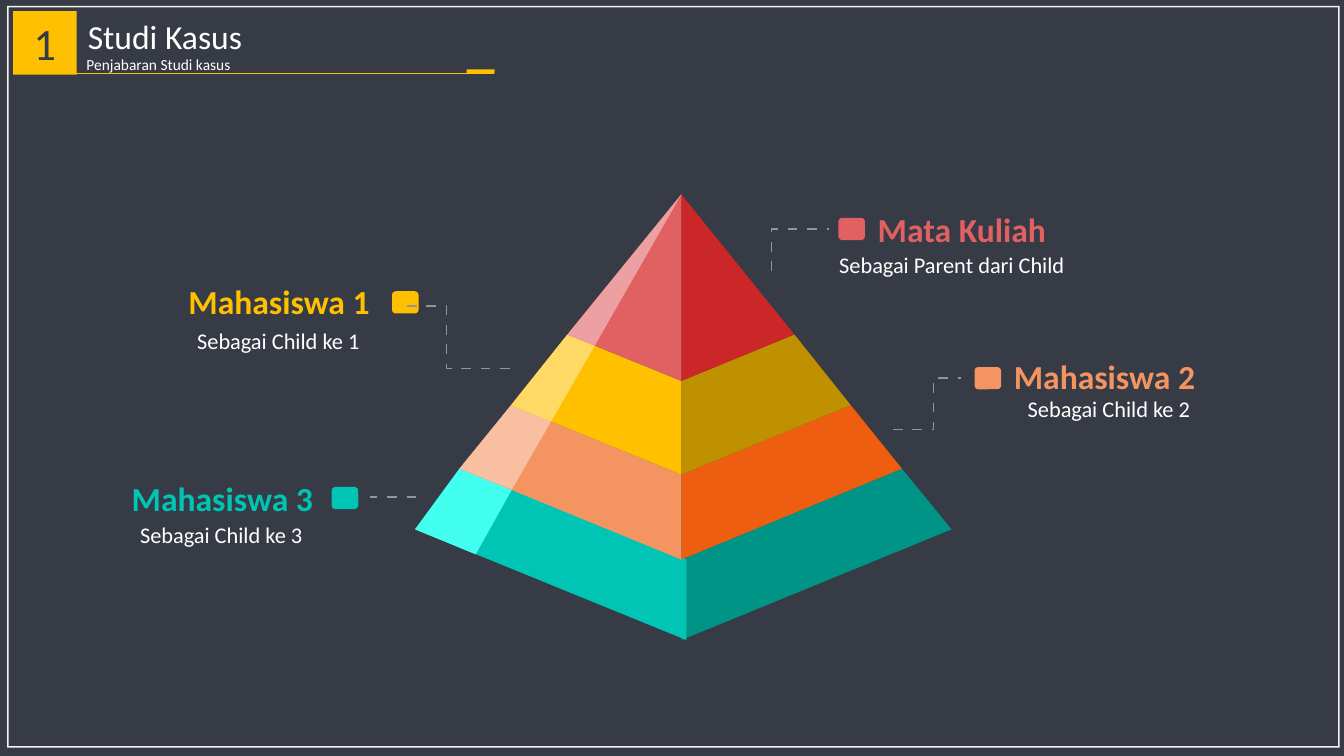
from lxml import etree
from pptx import Presentation
from pptx.dml.color import RGBColor
from pptx.enum.shapes import MSO_CONNECTOR as Link, MSO_SHAPE as Preset
from pptx.enum.text import MSO_ANCHOR as Anchor, PP_ALIGN as Align
from pptx.oxml.ns import qn
from pptx.util import Cm, Pt

FONT = "Calibri"
COLOURS = {
    "ground": "363B45", "frame": "F3F3F5", "white": "FFFFFF", "dash": "939598",
    "red": "E16162", "red dark": "CB2728", "red light": "EDA0A1",
    "yellow": "FFC000", "yellow dark": "BF9000", "yellow light": "FFD966",
    "orange": "F49461", "orange dark": "EE5E11", "orange light": "F8BFA0",
    "teal": "00C5B4", "teal dark": "009487", "teal light": "43FFEF",
}

# Pyramid corners in cm: each level runs from its upper edge to its lower edge
TIERS = ["red", "yellow", "orange", "teal"]
APEX = (17.17, 4.9)
LEFT = [APEX, (14.3, 8.43), (12.88, 10.21), (11.58, 11.81), (10.46, 13.34)]
GLINT = [APEX, (14.99, 8.71), (13.89, 10.62), (12.9, 12.34), (11.99, 13.97)]
RIGHT = [APEX, (20.02, 8.43), (21.44, 10.21), (22.73, 11.81), (23.98, 13.34)]
MIDDLE = [APEX, (17.17, 9.6), (17.17, 11.96), (17.17, 14.1), (17.17, 16.13)]
BASE_MIDDLE = [(17.3, 14.1), (17.3, 16.13)]

# Heading, colour, heading box, note, note corner, swatch corner, dashed route
CALLOUTS = [
    ("Mahasiswa 1", "yellow", (4.5, 6.96, 5.44), "Sebagai Child ke 1", (4.72, 8.13),
     (9.88, 7.34), [(12.85, 9.28), (11.25, 9.28), (11.25, 7.71), (10.03, 7.71)]),
    ("Mahasiswa 2", "orange", (25.3, 8.84, 5.44), "Sebagai Child ke 2", (25.65, 9.83),
     (24.56, 9.25), [(22.5, 10.83), (23.53, 10.83), (23.53, 9.53), (24.23, 9.53)]),
    ("Mahasiswa 3", "teal", (3.07, 11.91, 7.75), "Sebagai Child ke 3", (3.28, 13),
     (8.36, 12.27), [(10.49, 12.52), (9.32, 12.52)]),
    ("Mata Kuliah", "red", (21.87, 5.13, 4.98), "Sebagai Parent dari Child", (20.9, 6.2),
     (21.13, 5.49), [(19.44, 6.83), (19.44, 5.77), (20.9, 5.77)]),
]


def colour(name):
    return RGBColor.from_string(COLOURS[name])


def paint(shape, fill):
    shape.shadow.inherit = False
    shape.fill.solid()
    shape.fill.fore_color.rgb = colour(fill)
    shape.line.fill.background()


def add_block(page, preset, area, fill):
    shape = page.shapes.add_shape(preset, *map(Cm, area))
    paint(shape, fill)
    return shape


def write(box, text, size, ink, bold=False, align=Align.LEFT, anchor=Anchor.TOP):
    frame = box.text_frame
    frame.word_wrap = True
    frame.vertical_anchor = anchor
    para = frame.paragraphs[0]
    para.alignment = align
    span = para.add_run()
    span.text = text
    span.font.name, span.font.size, span.font.bold = FONT, Pt(size), bold
    span.font.color.rgb = colour(ink)
    return para


def add_label(page, area, text, size, ink, bold=False):
    write(page.shapes.add_textbox(*map(Cm, area)), text, size, ink, bold)


def add_outline(page, points, close=True):
    first, *rest = [(Cm(x), Cm(y)) for x, y in points]
    builder = page.shapes.build_freeform(*first)
    builder.add_line_segments(rest, close=close)
    return builder.convert_to_shape()


def add_face(page, points, fill):
    paint(add_outline(page, points), fill)


def add_line(page, start, end, ink, width):
    line = page.shapes.add_connector(Link.STRAIGHT, *map(Cm, start + end))
    line.line.color.rgb = colour(ink)
    line.line.width = Pt(width)
    etree.SubElement(line._element.spPr, qn("a:effectLst"))
    return line


def add_dashed_route(page, points):
    if len(points) == 2:
        route = add_line(page, *points, "dash", 1)
    else:
        route = add_outline(page, points, close=False)
        route.shadow.inherit = False
        route.fill.background()
        route.line.color.rgb = colour("dash")
        route.line.width = Pt(1)
    pattern = etree.SubElement(route.line._get_or_add_ln(), qn("a:custDash"))
    etree.SubElement(pattern, qn("a:ds"), d="700000", sp="700000")


def add_header(page):
    add_block(page, Preset.FRAME, (0.18, 0.15, 33.58, 18.69), "frame").adjustments[0] = 0.002
    badge = add_block(page, Preset.RECTANGLE, (0.33, 0.28, 1.6, 1.6), "yellow")
    write(badge, "1", 32, "ground", align=Align.CENTER, anchor=Anchor.MIDDLE)
    title = page.shapes.title
    title.left, title.top, title.width, title.height = map(Cm, (0.36, 0.15, 7.59, 1.4))
    para = write(title, "Studi Kasus", 24, "white", align=Align.CENTER, anchor=Anchor.MIDDLE)
    para.line_spacing = 1.1
    add_label(page, (1.93, 1.27, 9.8, 0.74), "Penjabaran Studi kasus", 11, "white")
    add_line(page, (12.45, 1.85), (1.73, 1.85), "yellow", 0.5)
    add_block(page, Preset.RECTANGLE, (11.76, 1.75, 0.71, 0.1), "yellow")


def add_pyramid(page):
    for level in reversed(range(len(TIERS))):
        tier = TIERS[level]
        edge = slice(level, level + 2)
        middle = MIDDLE[edge]
        front = BASE_MIDDLE if tier == "teal" else middle
        add_face(page, middle + RIGHT[edge][::-1], tier + " dark")
        add_face(page, front + LEFT[edge][::-1], tier)
        add_face(page, LEFT[edge] + GLINT[edge][::-1], tier + " light")


def add_callout(page, heading, tone, heading_box, note, note_at, swatch_at, route):
    swatch = add_block(page, Preset.ROUNDED_RECTANGLE, swatch_at + (0.67, 0.56), tone)
    swatch.adjustments[0] = 0.17
    add_dashed_route(page, route)
    add_label(page, note_at + (8.06, 0.94), note, 16, "white")
    add_label(page, heading_box + (1.25,), heading, 24, tone, bold=True)


def main():
    deck = Presentation()
    deck.slide_width, deck.slide_height = Cm(33.87), Cm(19.05)
    page = deck.slides.add_slide(deck.slide_layouts[5])
    page.background.fill.solid()
    page.background.fill.fore_color.rgb = colour("ground")
    add_header(page)
    add_pyramid(page)
    for callout in CALLOUTS:
        add_callout(page, *callout)
    deck.save("out.pptx")


main()
